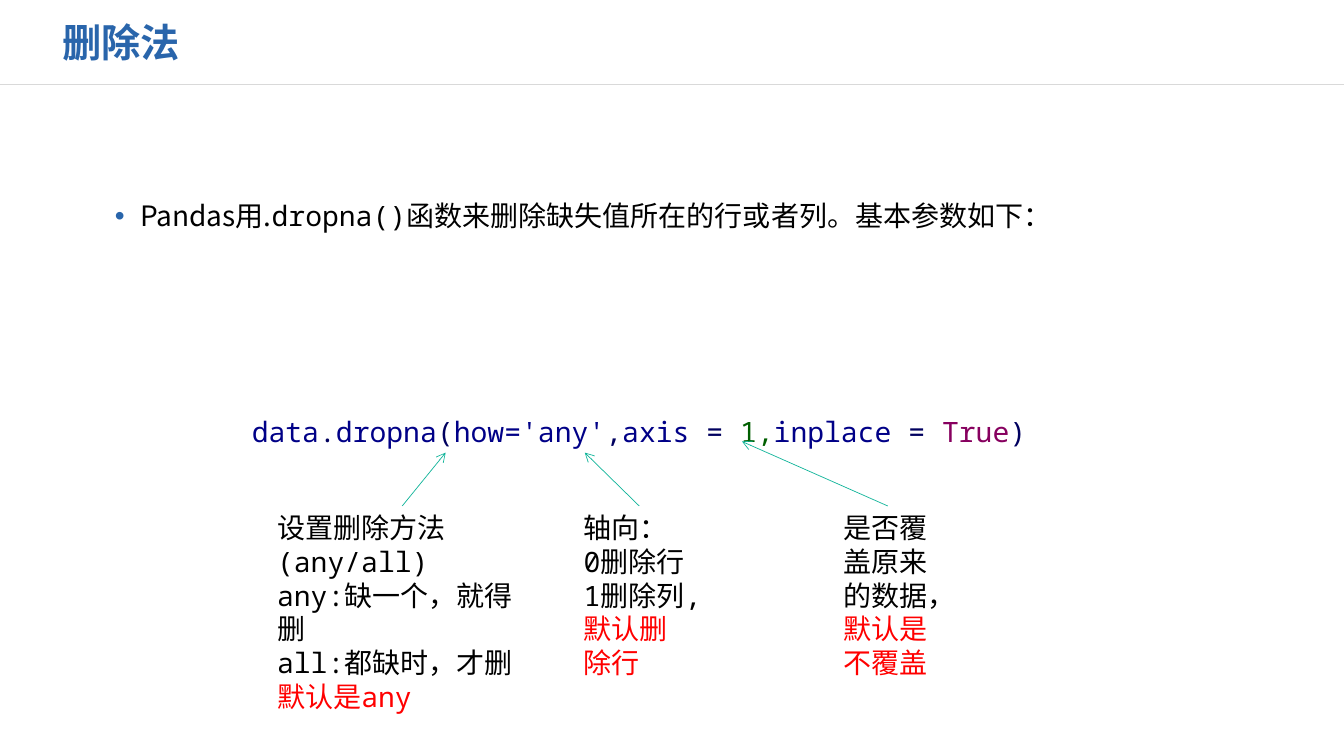
"""Build the slide on deleting missing values with dropna."""
from lxml.etree import SubElement
from pptx import Presentation
from pptx.dml.color import RGBColor as Rgb
from pptx.enum.shapes import MSO_CONNECTOR as Connector
from pptx.enum.text import MSO_ANCHOR as Anchor, PP_ALIGN as Align
from pptx.oxml.ns import qn
from pptx.util import Inches, Pt

COLORS = {"blue": "2965AB", "black": "000000", "red": "FF0000", "rule": "D9D9D9",
          "arrow": "11B59A", "name": "000087", "sign": "00005F",
          "number": "005F00", "constant": "87005F"}
SANS, MONO = "Noto Sans CJK SC", "Noto Sans Mono"

TITLE = "删除法"
INTRO = [("Pandas用.", SANS), ("dropna()函数", MONO),
         ("来删除缺失值所在的行或者列。基本参数如下：", SANS)]
CODE = [("data", "name"), (".", "sign"), ("dropna", "name"), ("(", "sign"),
        ("how='any'", "name"), (",", "sign"), ("axis ", "name"), ("= ", "sign"),
        ("1,", "number"), ("inplace ", "name"), ("= ", "sign"),
        ("True", "constant"), (")", "sign")]
NOTES = [
    {"left": 19.88, "width": 20.1, "tip": (33.16, 59.87),
     "lines": [[("设置删除方法(any/all)", "black")], [("any:缺一个，就得删", "black")],
               [("all:都缺时，才删", "black")], [("默认是any", "red")]]},
    {"left": 42.69, "width": 9.75, "tip": (43.51, 59.87),
     "lines": [[("轴向：", "black")], [("0删除行", "black")],
               [("1删除列,", "black"), ("默认删除行", "red")]]},
    {"left": 62.04, "width": 8.03, "tip": (55.21, 58.4),
     "lines": [[("是否覆盖原来的数据，", "black"), ("默认是不覆盖", "red")]]},
]
TITLE_AREA = (3.9, 1.73, 39.9, 7.73)
INTRO_AREA = (4.05, 25.6, 82.7, 7.2)
CODE_AREA = (18, 54.13, 69, 5.87)
NOTE_TOP, NOTE_HEIGHT = 66.93, 23.73
RULE_Y = 11.2

deck = Presentation()
deck.slide_width, deck.slide_height = Inches(13.33), Inches(7.5)
slide = deck.slides.add_slide(deck.slide_layouts[1])


def across(share):
    return int(deck.slide_width * share / 100)


def down(share):
    return int(deck.slide_height * share / 100)


def place(holder, area):
    left, top, width, height = area
    holder.left, holder.top = across(left), down(top)
    holder.width, holder.height = across(width), down(height)


def style(paragraph, size, font=MONO):
    paragraph.alignment = Align.LEFT
    paragraph.space_before = Pt(0)
    paragraph.font.size, paragraph.font.name = Pt(size), font


def add_run(paragraph, words, color):
    run = paragraph.add_run()
    run.text = words
    run.font.color.rgb = Rgb.from_string(COLORS[color])
    return run


def add_text(area, lines):
    box = slide.shapes.add_textbox(0, 0, 0, 0)
    place(box, area)
    frame = box.text_frame
    frame.word_wrap = True
    for index, line in enumerate(lines):
        paragraph = frame.add_paragraph() if index else frame.paragraphs[0]
        style(paragraph, 20)
        for words, color in line:
            add_run(paragraph, words, color)
    return box


def add_line(start, end, color, weight):
    line = slide.shapes.add_connector(
        Connector.STRAIGHT, across(start[0]), down(start[1]), across(end[0]), down(end[1]))
    line.line.color.rgb = Rgb.from_string(COLORS[color])
    line.line.width = Pt(weight)
    SubElement(line._element.spPr, qn("a:effectLst"))
    return line


add_line((0, RULE_Y), (100, RULE_Y), "rule", 1)

title = slide.shapes.title
place(title, TITLE_AREA)
title.text_frame.vertical_anchor = Anchor.MIDDLE
heading = title.text_frame.paragraphs[0]
add_run(heading, TITLE, "blue")
style(heading, 28, SANS)
heading.font.bold = True

body = slide.placeholders[1]
place(body, INTRO_AREA)
intro = body.text_frame.paragraphs[0]
bullet = intro._p.get_or_add_pPr()
bullet.set("marL", str(Inches(0.75)))
bullet.set("indent", str(Inches(-0.25)))
SubElement(SubElement(bullet, qn("a:buClr")), qn("a:srgbClr"), val=COLORS["blue"])
SubElement(bullet, qn("a:buFont"), typeface="Arial")
SubElement(bullet, qn("a:buChar"), char="•")
style(intro, 20, SANS)
for words, font in INTRO:
    add_run(intro, words, "black").font.name = font

add_text(CODE_AREA, [CODE])

for note in NOTES:
    box = add_text((note["left"], NOTE_TOP, note["width"], NOTE_HEIGHT), note["lines"])
    arrow = add_line((note["left"] + note["width"] / 2, NOTE_TOP), note["tip"], "arrow", 0.5)
    arrow.begin_connect(box, 0)
    SubElement(arrow.line._get_or_add_ln(), qn("a:tailEnd"), type="arrow")

deck.save("out.pptx")
